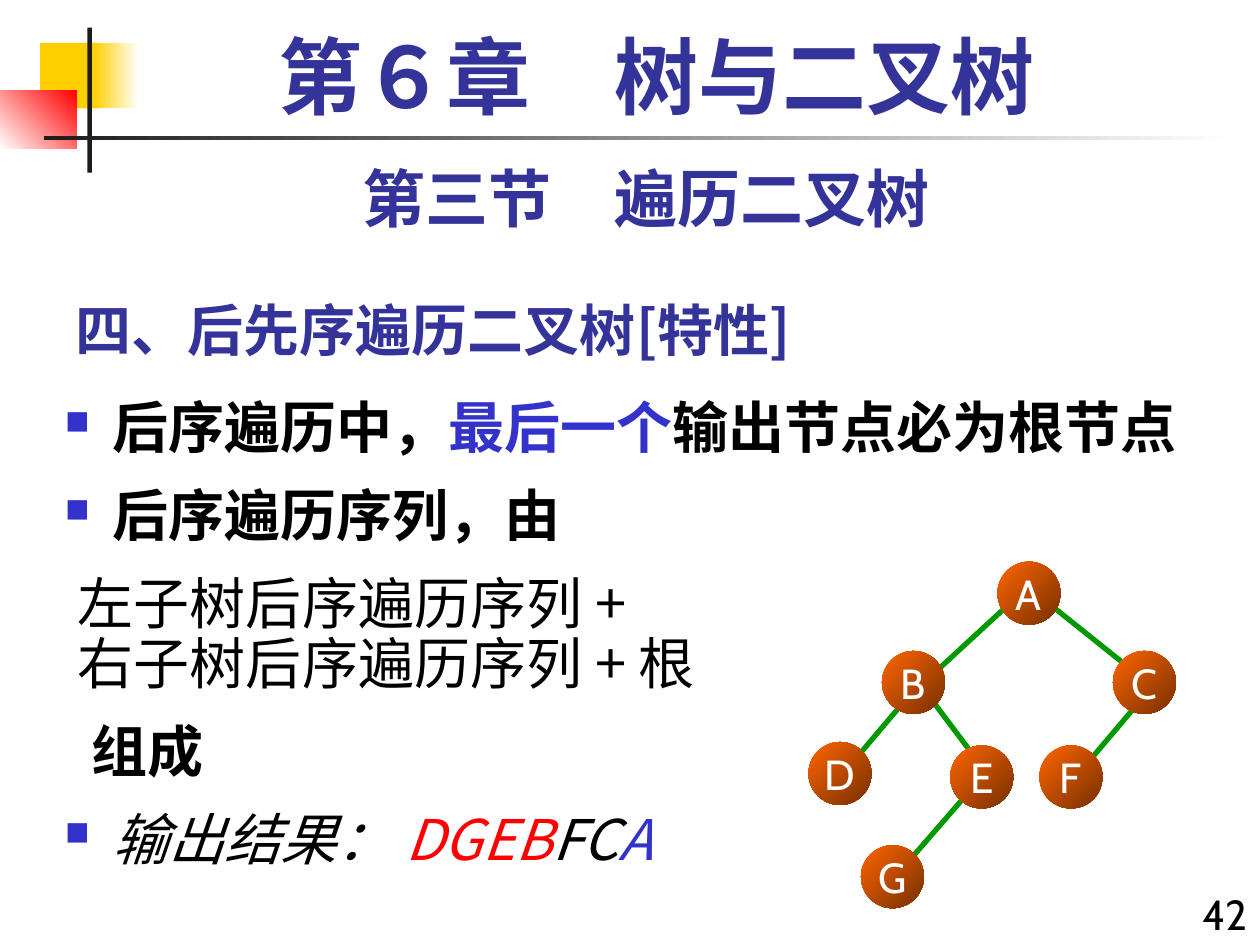
from typing import NamedTuple, Optional

from lxml.etree import SubElement
from pptx import Presentation
from pptx.dml.color import RGBColor
from pptx.enum.shapes import MSO_CONNECTOR, MSO_SHAPE
from pptx.enum.text import MSO_ANCHOR, PP_ALIGN
from pptx.oxml.ns import qn
from pptx.util import Pt

HUES = {
    "gold": "FFCF01", "white": "FFFFFF", "red": "FF0000", "ink": "1C1C1C",
    "navy": "333399", "blue": "3333CC", "black": "000000", "green": "009900",
    "flame": "FF6600", "rust": "762F00",
}
HAN = "Noto Sans CJK SC"
SIZE = 36


class Bar(NamedTuple):
    x: float
    y: float
    w: float
    h: float
    hue: str
    end: Optional[str] = None
    turn: float = 0


class Label(NamedTuple):
    x: float
    y: float
    w: float
    h: float
    text: str
    size: float
    face: str
    hue: str
    bold: bool
    align: PP_ALIGN
    lead: Optional[float] = None
    base: MSO_ANCHOR = MSO_ANCHOR.TOP


class Line(NamedTuple):
    runs: tuple
    bold: bool = False
    slant: bool = False
    mark: bool = False
    dent: float = 0
    gap: float = 16


class Node(NamedTuple):
    name: str
    x: float
    y: float


class Edge(NamedTuple):
    x: float
    y: float
    to_x: float
    to_y: float


BARS = [
    Bar(23, 24.5, 34.5, 37.5, "gold"),
    Bar(53.25, 24.5, 26, 37.5, "gold", "white"),
    Bar(0, 51.75, 44, 33.25, "white", "red", 45),
    Bar(50, 15.75, 2.5, 83, "ink"),
    Bar(25, 77.75, 680.5, 2.5, "ink", "white"),
]
LABELS = [
    Label(36, 157, 450, 54, "四、后先序遍历二叉树[特性]", 32, HAN, "navy", True,
          PP_ALIGN.LEFT, base=MSO_ANCHOR.BOTTOM),
    Label(672, 504, 48, 36, "42", 24, "Cabin", "black", False, PP_ALIGN.RIGHT),
    Label(36, 84, 666, 50.5, "第三节　遍历二叉树", 36, "Cabin", "navy", True,
          PP_ALIGN.CENTER, 47),
    Label(48, 12, 654, 60, "第６章　树与二叉树", 48, "Times New Roman", "navy",
          True, PP_ALIGN.CENTER, 56),
]
LINES = [
    Line((("后序遍历中，", "black"), ("最后一个", "blue"),
          ("输出节点必为根节点", "black")), bold=True, mark=True, gap=0),
    Line((("后序遍历序列，由", "black"),), bold=True, mark=True),
    Line((("左子树后序遍历序列 +", "black"),), dent=7.5),
    Line((("右子树后序遍历序列 + 根", "black"),), dent=7.5, gap=0),
    Line((("组成", "black"),), bold=True, dent=15),
    Line((("输出结果： ", "black"), ("DGEB", "red"), ("FC", "black"),
          ("A", "blue")), slant=True, mark=True),
]
NODES = [
    Node("A", 570, 321), Node("D", 462, 424), Node("B", 504, 372),
    Node("F", 594, 426), Node("C", 636, 372), Node("G", 492, 483),
    Node("E", 543, 426),
]
EDGES = [
    Edge(597, 343, 642, 379), Edge(579, 343, 534, 384.5),
    Edge(525, 391, 492, 430), Edge(528, 394, 555, 430),
    Edge(657, 394, 624, 433), Edge(555, 451, 522, 489),
]


def color(hue: str) -> RGBColor:
    return RGBColor.from_string(HUES[hue])


def paint(shape, hue: str, end: Optional[str], turn: float) -> None:
    shape.shadow.inherit = False
    shape.line.fill.background()
    if end is None:
        shape.fill.solid()
        shape.fill.fore_color.rgb = color(hue)
        return
    shape.fill.gradient()
    shape.fill.gradient_angle = turn
    for stop, tone in zip(shape.fill.gradient_stops, (hue, end)):
        stop.color.rgb = color(tone)


def style(para, size: float, face: str, hue: Optional[str] = None,
          bold: bool = False, slant: bool = False) -> None:
    font = para.font
    font.size, font.bold, font.italic = Pt(size), bold, slant
    if hue:
        font.color.rgb = color(hue)
    font.name = face
    props = para._p.pPr.find(qn("a:defRPr"))
    SubElement(props, qn("a:ea"), typeface=HAN)


def bullet(para) -> None:
    props = para._p.get_or_add_pPr()
    tint = SubElement(props, qn("a:buClr"))
    SubElement(tint, qn("a:srgbClr"), val=HUES["blue"])
    SubElement(props, qn("a:buSzPct"), val="60000")
    SubElement(props, qn("a:buChar"), char="■")


def indent(para, left: float, first: float) -> None:
    props = para._p.get_or_add_pPr()
    props.set("marL", str(Pt(left)))
    props.set("indent", str(Pt(first)))


def draw_bar(shapes, bar: Bar) -> None:
    shape = shapes.add_shape(MSO_SHAPE.RECTANGLE, Pt(bar.x), Pt(bar.y),
                             Pt(bar.w), Pt(bar.h))
    paint(shape, bar.hue, bar.end, bar.turn)


def draw_label(shapes, label: Label) -> None:
    box = shapes.add_textbox(Pt(label.x), Pt(label.y), Pt(label.w), Pt(label.h))
    frame = box.text_frame
    frame.word_wrap = True
    frame.vertical_anchor = label.base
    para = frame.paragraphs[0]
    para.text = label.text
    para.alignment = label.align
    if label.lead:
        para.line_spacing = Pt(label.lead)
    style(para, label.size, label.face, label.hue, label.bold)


def draw_body(shapes, lines: list[Line]) -> None:
    frame = shapes.add_textbox(Pt(30), Pt(225), Pt(690), Pt(315)).text_frame
    frame.word_wrap = True
    for rank, line in enumerate(lines):
        para = frame.add_paragraph() if rank else frame.paragraphs[0]
        para.line_spacing = Pt(34.25)
        para.space_before = Pt(line.gap)
        if line.mark:
            indent(para, 27, -27)
            bullet(para)
        else:
            indent(para, line.dent, 0)
        style(para, 32, HAN, bold=line.bold, slant=line.slant)
        for text, hue in line.runs:
            run = para.add_run()
            run.text = text
            run.font.color.rgb = color(hue)


def draw_edge(shapes, edge: Edge) -> None:
    link = shapes.add_connector(MSO_CONNECTOR.STRAIGHT, Pt(edge.x), Pt(edge.y),
                                Pt(edge.to_x), Pt(edge.to_y))
    link.line.color.rgb = color("green")
    link.line.width = Pt(3)
    SubElement(link._element.spPr, qn("a:effectLst"))


def draw_node(shapes, node: Node) -> None:
    disc = shapes.add_shape(MSO_SHAPE.OVAL, Pt(node.x), Pt(node.y),
                            Pt(SIZE), Pt(SIZE))
    paint(disc, "flame", "rust", 315)
    frame = disc.text_frame
    frame.margin_left = frame.margin_right = 0
    frame.word_wrap = False
    frame.vertical_anchor = MSO_ANCHOR.MIDDLE
    para = frame.paragraphs[0]
    para.text = node.name
    para.alignment = PP_ALIGN.CENTER
    style(para, 24, "Cabin", "white")


def main() -> None:
    deck = Presentation()
    deck.slide_width, deck.slide_height = Pt(720), Pt(540)
    shapes = deck.slides.add_slide(deck.slide_layouts[6]).shapes
    for bar in BARS:
        draw_bar(shapes, bar)
    for label in LABELS:
        draw_label(shapes, label)
    draw_body(shapes, LINES)
    tree = shapes.add_group_shape().shapes
    for edge in EDGES:
        draw_edge(tree, edge)
    for node in NODES:
        draw_node(tree, node)
    deck.save("out.pptx")


if __name__ == "__main__":
    main()
